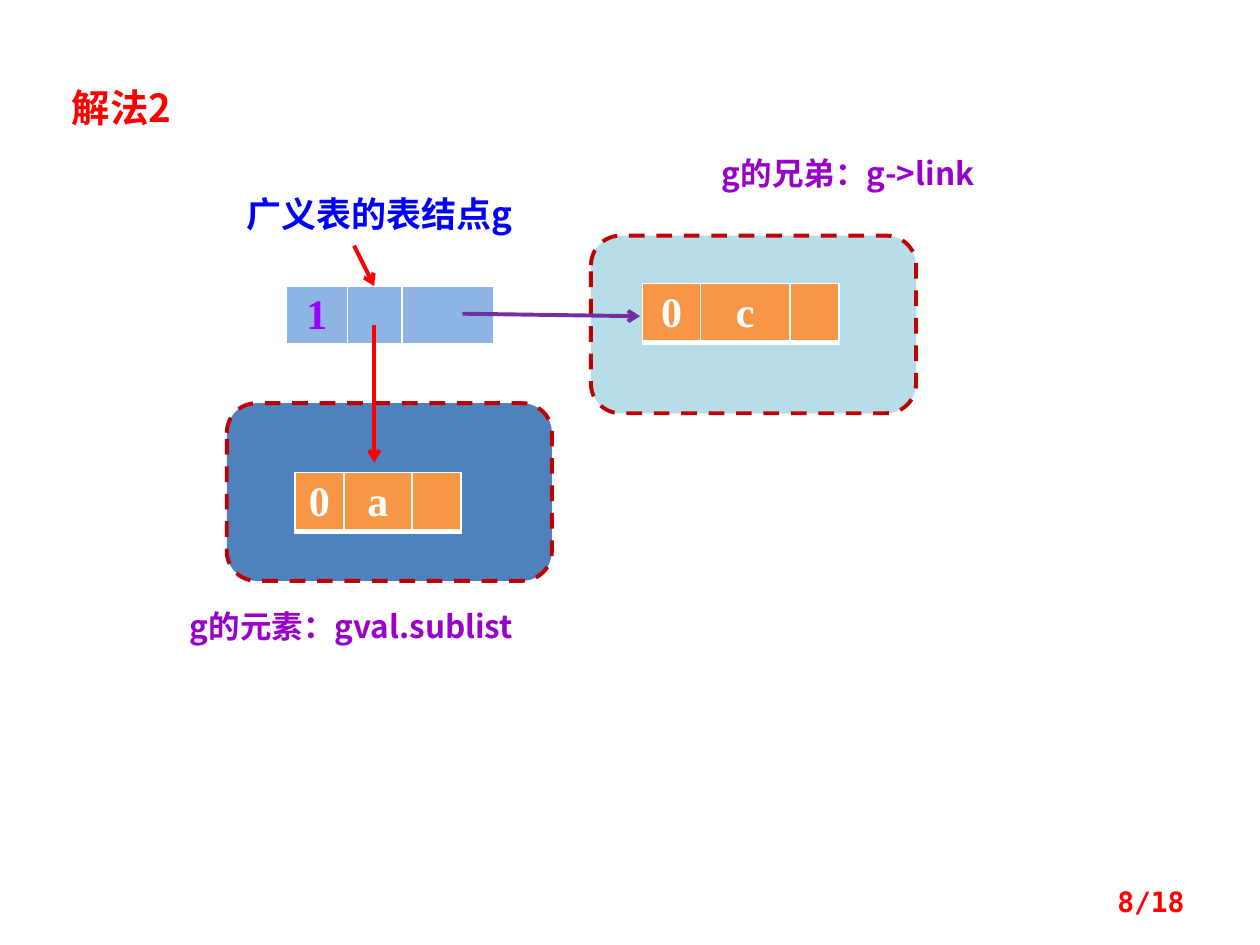
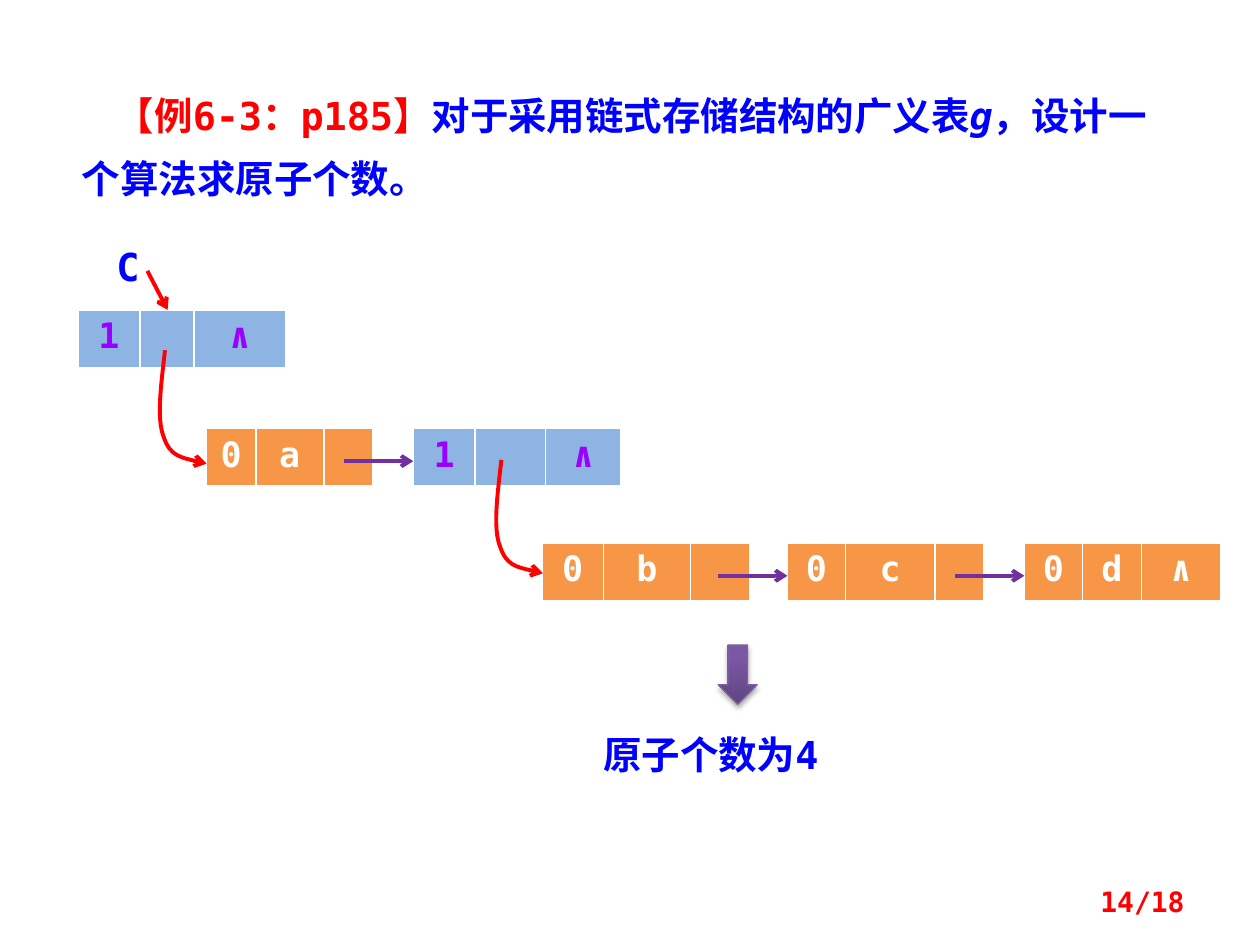
from lxml.etree import SubElement
from pptx import Presentation
from pptx.dml.color import RGBColor
from pptx.enum.dml import MSO_LINE_DASH_STYLE as DASH
from pptx.enum.shapes import MSO_CONNECTOR as CONNECTOR, MSO_SHAPE as SHAPE
from pptx.enum.text import MSO_ANCHOR as ANCHOR, MSO_AUTO_SIZE as AUTO, PP_ALIGN as ALIGN
from pptx.oxml import parse_xml
from pptx.oxml.ns import nsdecls, qn
from pptx.util import Inches, Pt

# Shared look: the slide is a grid of 10 columns by 7.5 rows, one inch each
COLUMNS, ROWS = 10, 7.5
SANS, MONO, SERIF = "Noto Sans CJK SC", "DejaVu Sans Mono", "Times New Roman"
RED, BLUE, PURPLE, LINK = "FF0000", "0000FF", "9900CC", "7030A0"
WHITE, TAG = "FFFFFF", "9900FF"
LIST_FILL, ATOM_FILL = "8EB4E3", "F79646"
NODE_HEIGHT = 0.47
TOTAL = 18

STYLES = {
    "heading": dict(name=SANS, size=Pt(22), bold=True),
    "label": dict(name=SANS, size=Pt(20), bold=True),
    "caption": dict(name=SANS, size=Pt(18), bold=True),
    "code": dict(name=MONO, size=Pt(22), bold=True),
    "variable": dict(name=MONO, size=Pt(22), bold=True, italic=True),
    "number": dict(name=MONO, size=Pt(16), bold=True),
    "serif cell": dict(name=SERIF, size=Pt(24), bold=True),
    "mono cell": dict(name=MONO, size=Pt(20), bold=True),
}


def rgb(color):
    return RGBColor.from_string(color)


def grid(*values):
    return [Inches(v) for v in values]


# Text
def add_run(p, text, style, color):
    r = p.add_run()
    r.text = text
    for name, value in STYLES[style].items():
        setattr(r.font, name, value)
    r.font.color.rgb = rgb(color)
    SubElement(r.font._element, qn("a:ea"), typeface=SANS)


def fill_text(sp, runs, align=ALIGN.LEFT, anchor=ANCHOR.TOP):
    tf = sp.text_frame
    tf.word_wrap, tf.auto_size, tf.vertical_anchor = True, AUTO.NONE, anchor
    p = tf.paragraphs[0]
    p.alignment = align
    for run in runs:
        add_run(p, *run)
    return p


def add_label(s, box, text, style, color, **layout):
    fill_text(s.shapes.add_textbox(*grid(*box)), [(text, style, color)], **layout)


def add_slide(prs, number, title_box, title_runs):
    s = prs.slides.add_slide(prs.slide_layouts[5])
    sp = s.shapes.title
    sp.left, sp.top, sp.width, sp.height = grid(*title_box)
    title = fill_text(sp, title_runs)
    add_label(s, (7.17, 6.95, 2.33, 0.4), f"{number}/{TOTAL}", "number", RED,
              align=ALIGN.RIGHT, anchor=ANCHOR.MIDDLE)
    return s, title


# Lines and arrows
def draw_arrow_line(sp, color):
    sp.line.color.rgb = rgb(color)
    sp.line.width = Pt(2.25)
    SubElement(sp.element.spPr.find(qn("a:ln")), qn("a:tailEnd"), type="arrow")
    SubElement(sp.element.spPr, qn("a:effectLst"))


def add_arrow(s, start, end, color):
    sp = s.shapes.add_connector(CONNECTOR.STRAIGHT, *grid(*start, *end))
    draw_arrow_line(sp, color)


def add_sublist_curve(s, x, y):
    bends = [(-0.03, 0.27), (-0.07, 0.54), (-0.01, 0.69),
             (0.04, 0.84), (0.19, 0.87), (0.33, 0.9)]
    builder = s.shapes.build_freeform(*grid(x, y))
    builder.add_line_segments([grid(x + dx, y + dy) for dx, dy in bends], close=False)
    sp = builder.convert_to_shape()
    sp.fill.background()
    # Each three points become one cubic curve
    outline = sp.element.xpath(".//a:path")[0]
    segments = list(outline)[1:]
    for i in range(0, len(segments), 3):
        curve = SubElement(outline, qn("a:cubicBezTo"))
        for segment in segments[i:i + 3]:
            curve.append(segment[0])
            outline.remove(segment)
    draw_arrow_line(sp, RED)


# List nodes: tag, value and link cells
def set_borders(cell):
    tc_pr = cell._tc.get_or_add_tcPr()
    for i, (side, width) in enumerate({"L": 1, "R": 1, "T": 1, "B": 3}.items()):
        tc_pr.insert(i, parse_xml(
            f'<a:ln{side} {nsdecls("a")} w="{Pt(width)}"><a:solidFill>'
            f'<a:srgbClr val="{WHITE}"/></a:solidFill></a:ln{side}>'))


def add_node(s, x, y, widths, texts, style):
    is_list = texts[0] == "1"
    table = s.shapes.add_table(
        1, len(widths), *grid(x, y, sum(widths), NODE_HEIGHT)).table
    table.first_row = table.horz_banding = False
    for i, (width, text) in enumerate(zip(widths, texts)):
        table.columns[i].width = Inches(width)
        cell = table.cell(0, i)
        cell.fill.solid()
        cell.fill.fore_color.rgb = rgb(LIST_FILL if is_list else ATOM_FILL)
        set_borders(cell)
        if text:
            p = cell.text_frame.paragraphs[0]
            p.alignment = ALIGN.CENTER
            add_run(p, text, style, TAG if is_list else WHITE)


# Preset shapes
def add_region(s, x, y, color):
    sp = s.shapes.add_shape(SHAPE.ROUNDED_RECTANGLE, *grid(x, y, 2.58, 1.41))
    sp.shadow.inherit = False
    sp.fill.solid()
    sp.fill.fore_color.rgb = rgb(color)
    sp.line.color.rgb = rgb("C00000")
    sp.line.width = Pt(2.25)
    sp.line.dash_style = DASH.DASH


def add_result_arrow(s, box):
    sp = s.shapes.add_shape(SHAPE.DOWN_ARROW, *grid(*box))
    sp.fill.gradient()
    sp.fill.gradient_angle = 90
    for stop, (position, color) in zip(sp.fill.gradient_stops,
                                       [(0, "5F4480"), (0.8, "7B58A6")]):
        stop.position = position
        stop.color.rgb = rgb(color)
    sp.line.color.rgb = rgb("7D60A0")
    sp.line.width = Pt(0.75)
    sp.element.spPr.append(parse_xml(
        f'<a:effectLst {nsdecls("a")}><a:outerShdw blurRad="{Pt(3.1)}" '
        f'dist="{Pt(1.8)}" dir="5400000" rotWithShape="0"><a:srgbClr val="000000">'
        '<a:alpha val="35000"/></a:srgbClr></a:outerShdw></a:effectLst>'))


# Slides
def build_solution(prs):
    s, _ = add_slide(prs, 8, (0.47, 0.62, 1.56, 0.47), [("解法2", "heading", RED)])
    add_region(s, 1.8, 3.2, "4F81BD")
    add_region(s, 4.69, 1.87, "B7DEE8")
    for x, y, widths, texts in [
        (2.27, 2.27, (0.49, 0.43, 0.73), ("1", "", "")),
        (2.34, 3.75, (0.39, 0.54, 0.39), ("0", "a", "")),
        (5.1, 2.25, (0.46, 0.71, 0.39), ("0", "c", "")),
    ]:
        add_node(s, x, y, widths, texts, "serif cell")
    add_label(s, (1.8, 1.48, 2.42, 0.44), "广义表的表结点g", "label", BLUE,
              align=ALIGN.CENTER)
    add_label(s, (5.63, 1.17, 3.13, 0.4), "g的兄弟：g->link", "caption", PURPLE)
    add_label(s, (1.41, 4.77, 2.97, 0.4), "g的元素：gval.sublist", "caption", PURPLE)
    add_arrow(s, (2.81, 1.95), (2.97, 2.27), RED)
    add_arrow(s, (3.67, 2.49), (5.08, 2.51), LINK)
    add_arrow(s, (2.97, 2.58), (2.97, 3.67), RED)


def build_example(prs):
    s, title = add_slide(prs, 14, (0.55, 0.55, 8.91, 1.05), [
        ("【例6-3：p185】", "code", RED),
        ("对于采用链式存储结构的广义表", "code", BLUE),
        ("g", "variable", BLUE),
        ("，设计一个算法求原子个数。", "code", BLUE),
    ])
    title.line_spacing = Pt(36)
    title._p.get_or_add_pPr().set("indent", str(Inches(0.27)))

    # One row of nodes for each depth of the list
    levels = {
        2.46: [(0.62, (0.49, 0.43, 0.73), ("1", "", "∧"))],
        3.4: [(1.64, (0.39, 0.54, 0.39), ("0", "a", "")),
              (3.28, (0.49, 0.56, 0.6), ("1", "", "∧"))],
        4.31: [(4.3, (0.49, 0.69, 0.47), ("0", "b", "")),
               (6.25, (0.46, 0.71, 0.39), ("0", "c", "")),
               (8.13, (0.46, 0.47, 0.63), ("0", "d", "∧"))],
    }
    for y, nodes in levels.items():
        for node in nodes:
            add_node(s, node[0], y, *node[1:], "mono cell")
    for y, nodes in levels.items():
        for x, *_ in nodes[1:]:
            add_arrow(s, (x - 0.55, y + 0.26), (x, y + 0.26), LINK)
    add_sublist_curve(s, 1.31, 2.78)
    add_sublist_curve(s, 3.98, 3.65)

    # List head and result
    add_label(s, (0.78, 1.88, 0.47, 0.47), "C", "code", BLUE, align=ALIGN.CENTER)
    add_arrow(s, (1.17, 2.15), (1.33, 2.46), RED)
    add_result_arrow(s, (5.7, 5.12, 0.31, 0.47))
    add_label(s, (4.69, 5.75, 2.73, 0.47), "原子个数为4", "code", BLUE)


def main():
    prs = Presentation()
    prs.slide_width, prs.slide_height = grid(COLUMNS, ROWS)
    build_solution(prs)
    build_example(prs)
    prs.save("out.pptx")


if __name__ == "__main__":
    main()
